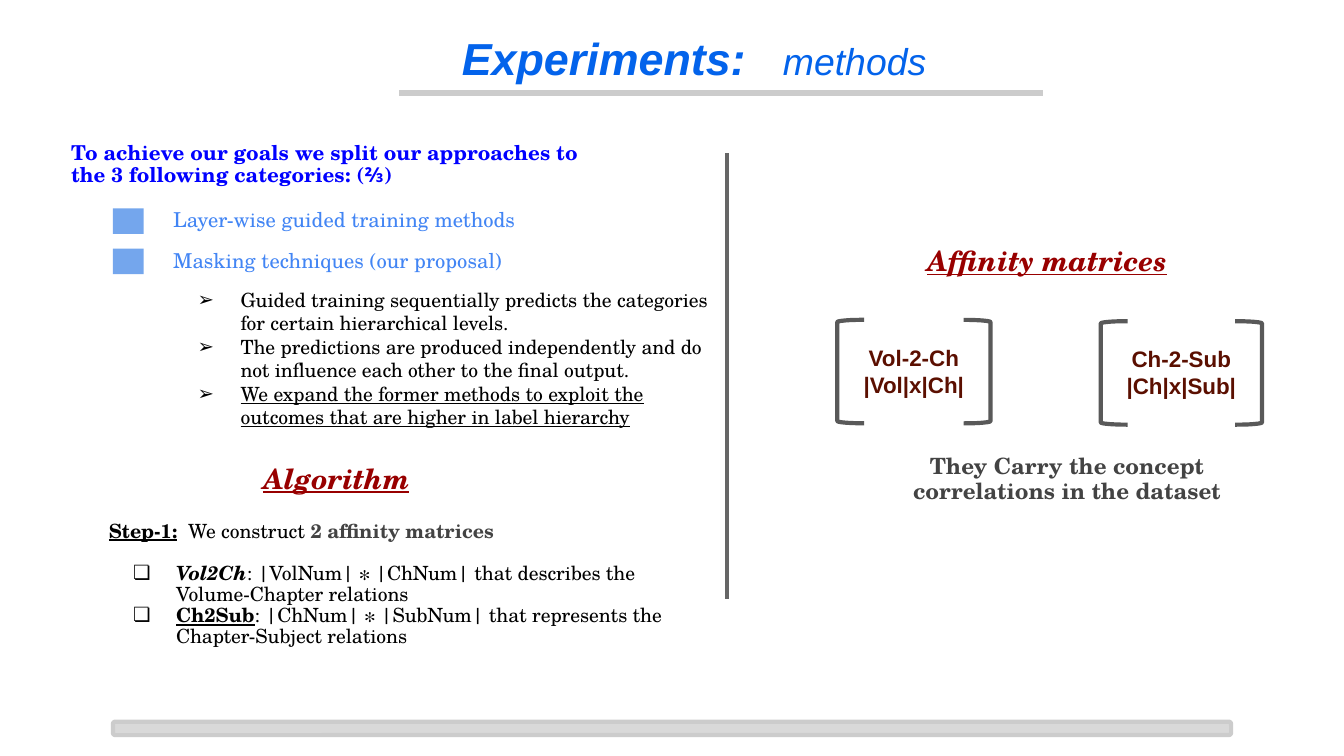
from dataclasses import dataclass

import pptx
import pptx.dml.color
import pptx.enum.shapes
import pptx.enum.text
import pptx.oxml.ns
import pptx.util
from lxml import etree

Inches = pptx.util.Inches
Pt = pptx.util.Pt
SHAPE = pptx.enum.shapes.MSO_SHAPE
ANCHOR = pptx.enum.text.MSO_ANCHOR
ALIGN = pptx.enum.text.PP_ALIGN
qn = pptx.oxml.ns.qn


@dataclass(frozen=True)
class Theme:
    sans: str = "Arial"
    serif: str = "TeX Gyre Schola"
    title: str = "0363EB"
    lead: str = "0000FF"
    topic: str = "4285F4"
    marker: str = "74A6ED"
    heading: str = "980000"
    matrix: str = "5B0F00"
    bracket: str = "595959"
    divider: str = "666666"
    emphasis: str = "434343"
    rule: str = "CCCCCC"
    bar: str = "D9D9D9"
    black: str = "000000"
    white: str = "FFFFFF"
    title_size: float = 24
    subtitle_size: float = 20
    heading_size: float = 15
    label_size: float = 12
    topic_size: float = 11
    body_size: float = 10.5


T = Theme()


def rgb(value):
    return pptx.dml.color.RGBColor.from_string(value)


def add_run(p, text, size=T.body_size, font=T.serif, color=T.black,
            bold=False, italic=False, underline=False, tracking=0):
    r = p.add_run()
    r.text = text
    f = r.font
    f.name, f.size, f.color.rgb = font, Pt(size), rgb(color)
    f.bold, f.italic, f.underline = bold, italic, underline
    if tracking:
        r._r.get_or_add_rPr().set("spc", str(round(tracking * 100)))


def set_frame(sp, anchor=ANCHOR.TOP):
    tf = sp.text_frame
    tf.word_wrap = True
    tf.auto_size = pptx.enum.text.MSO_AUTO_SIZE.NONE
    tf.vertical_anchor = anchor
    tf.margin_left = tf.margin_right = Inches(0.1)
    tf.margin_top = tf.margin_bottom = Inches(0.1)
    return tf


def set_bullet(p, char=None):
    """Give a hanging bullet, or switch off the inherited one."""
    pPr = p._p.get_or_add_pPr()
    pPr.set("marL", str(Inches(0.5) if char else 0))
    pPr.set("indent", str(Inches(-0.32) if char else 0))
    if char:
        color = etree.SubElement(pPr, qn("a:buClr"))
        etree.SubElement(color, qn("a:srgbClr"), val=T.black)
        etree.SubElement(pPr, qn("a:buChar"), char=char)
    else:
        etree.SubElement(pPr, qn("a:buNone"))


def next_paragraph(tf, align=ALIGN.LEFT, spacing=0.9, before=0):
    """Return the unused first paragraph, or a new one."""
    p = tf.paragraphs[0]
    if p.runs:
        p = tf.add_paragraph()
    p.alignment, p.line_spacing = align, spacing
    p.space_before = Pt(before)
    return p


def place(sp, left, top, width, height):
    sp.left, sp.top = Inches(left), Inches(top)
    sp.width, sp.height = Inches(width), Inches(height)


def add_text(s, box, text, anchor=ANCHOR.TOP, align=ALIGN.LEFT, **fmt):
    sp = s.shapes.add_textbox(*map(Inches, box))
    add_run(next_paragraph(set_frame(sp, anchor), align), text, **fmt)


def add_heading(s, left, top, text):
    add_text(s, (left, top, 2.02, 0.43), text, align=ALIGN.CENTER,
             size=T.heading_size, color=T.heading,
             bold=True, italic=True, underline=True)


def add_shape(s, kind, box, fill=None, line=None, weight=2.25):
    sp = s.shapes.add_shape(kind, *map(Inches, box))
    sp.shadow.inherit = False
    if fill:
        sp.fill.solid()
        sp.fill.fore_color.rgb = rgb(fill)
    else:
        sp.fill.background()
    if line:
        sp.line.color.rgb = rgb(line)
        sp.line.width = Pt(weight)
    else:
        sp.line.fill.background()
    return sp


def add_line(s, x1, y1, x2, y2, color, weight):
    line = s.shapes.add_connector(pptx.enum.shapes.MSO_CONNECTOR.STRAIGHT,
                                  *map(Inches, (x1, y1, x2, y2)))
    line.line.color.rgb = rgb(color)
    line.line.width = Pt(weight)
    etree.SubElement(line._element.spPr, qn("a:effectLst"))


def add_topic(s, top, text):
    add_shape(s, SHAPE.RECTANGLE, (0.84, top + 0.08, 0.23, 0.19), fill=T.marker)
    add_text(s, (1.19, top, 3.4, 0.35), text, anchor=ANCHOR.MIDDLE,
             size=T.topic_size, color=T.topic)


def add_matrix(s, left, top, width, lines):
    """Draw centred lines of text between two square brackets."""
    label = add_shape(s, SHAPE.RECTANGLE, (left + 0.08, top + 0.08, width, 0.61),
                      line=T.white, weight=0.75)
    tf = set_frame(label)
    for text in lines:
        add_run(next_paragraph(tf, ALIGN.CENTER, 1), text, size=T.label_size,
                font=T.sans, color=T.matrix, bold=True)
    for x, rotation in ((left, 0), (left + width - 0.04, 180)):
        bracket = add_shape(s, SHAPE.LEFT_BRACKET, (x, top, 0.2, 0.77),
                            line=T.bracket)
        bracket.adjustments[0] = 0.083
        bracket.rotation = rotation


def fill_title(sp):
    place(sp, 2.94, 0.13, 4.45, 0.63)
    p = next_paragraph(set_frame(sp), ALIGN.CENTER, 1)
    style = dict(font=T.sans, color=T.title, italic=True)
    add_run(p, "Experiments:", size=T.title_size, bold=True, **style)
    add_run(p, " ", size=T.title_size, tracking=13.3, **style)
    add_run(p, "methods", size=T.subtitle_size, **style)


def fill_approach(sp):
    place(sp, 1.19, 2.04, 4.22, 1.26)
    tf = set_frame(sp)
    for text, underline in (
        ("Guided training sequentially predicts the categories for certain "
         "hierarchical levels.", False),
        ("The predictions are produced independently and do not influence "
         "each other to the final output.", False),
        ("We expand the former methods to exploit the outcomes that are "
         "higher in label hierarchy", True),
    ):
        p = next_paragraph(tf, spacing=1)
        set_bullet(p, "➢")
        add_run(p, text, underline=underline)


def fill_step(sp):
    place(sp, 0.71, 3.77, 4.35, 1.16)
    tf = set_frame(sp, ANCHOR.MIDDLE)
    p = next_paragraph(tf)
    set_bullet(p)
    add_run(p, "Step-1:", bold=True, underline=True)
    add_run(p, " ", tracking=2.9)
    add_run(p, "We construct ")
    add_run(p, "2 affinity matrices", color=T.emphasis, bold=True)
    for name, text, before, style in (
        ("Vol2Ch", ": |VolNum| ∗ |ChNum| that describes the "
         "Volume-Chapter relations", 11.25, {"italic": True}),
        ("Ch2Sub", ": |ChNum| ∗ |SubNum| that represents the "
         "Chapter-Subject relations", 0, {"underline": True}),
    ):
        p = next_paragraph(tf, before=before)
        set_bullet(p, "❏")
        add_run(p, name, bold=True, **style)
        add_run(p, text)


def main():
    prs = pptx.Presentation()
    prs.slide_width = Inches(10)
    prs.slide_height = prs.slide_width * 9 // 16
    s = prs.slides.add_slide(prs.slide_layouts.get_by_name("Two Content"))
    title, approach, step = list(s.placeholders)[:3]

    fill_title(title)
    add_line(s, 2.97, 0.69, 7.76, 0.69, T.rule, 3)
    add_line(s, 5.41, 1.14, 5.41, 4.46, T.divider, 2.25)
    add_shape(s, SHAPE.ROUNDED_RECTANGLE, (0.84, 5.37, 8.32, 0.1),
              fill=T.bar, line=T.rule)

    add_text(s, (0.43, 0.96, 4.01, 0.54),
             "To achieve our goals we split our approaches to the 3 following "
             "categories: (⅔)", size=T.topic_size, color=T.lead, bold=True)
    add_topic(s, 1.47, "Layer-wise guided training methods")
    add_topic(s, 1.77, "Masking techniques (our proposal)")
    fill_approach(approach)
    add_heading(s, 1.49, 3.36, "Algorithm")
    fill_step(step)

    add_heading(s, 6.78, 1.74, "Affinity matrices")
    add_matrix(s, 6.23, 2.38, 0.98, ("Vol-2-Ch", "|Vol|x|Ch|"))
    add_matrix(s, 8.19, 2.39, 1.04, ("Ch-2-Sub", "|Ch|x|Sub|"))
    add_text(s, (6.36, 3.29, 3.16, 0.57),
             "They Carry the concept correlations in the dataset",
             align=ALIGN.CENTER, size=T.label_size, color=T.emphasis, bold=True)
    prs.save("out.pptx")


if __name__ == "__main__":
    main()
